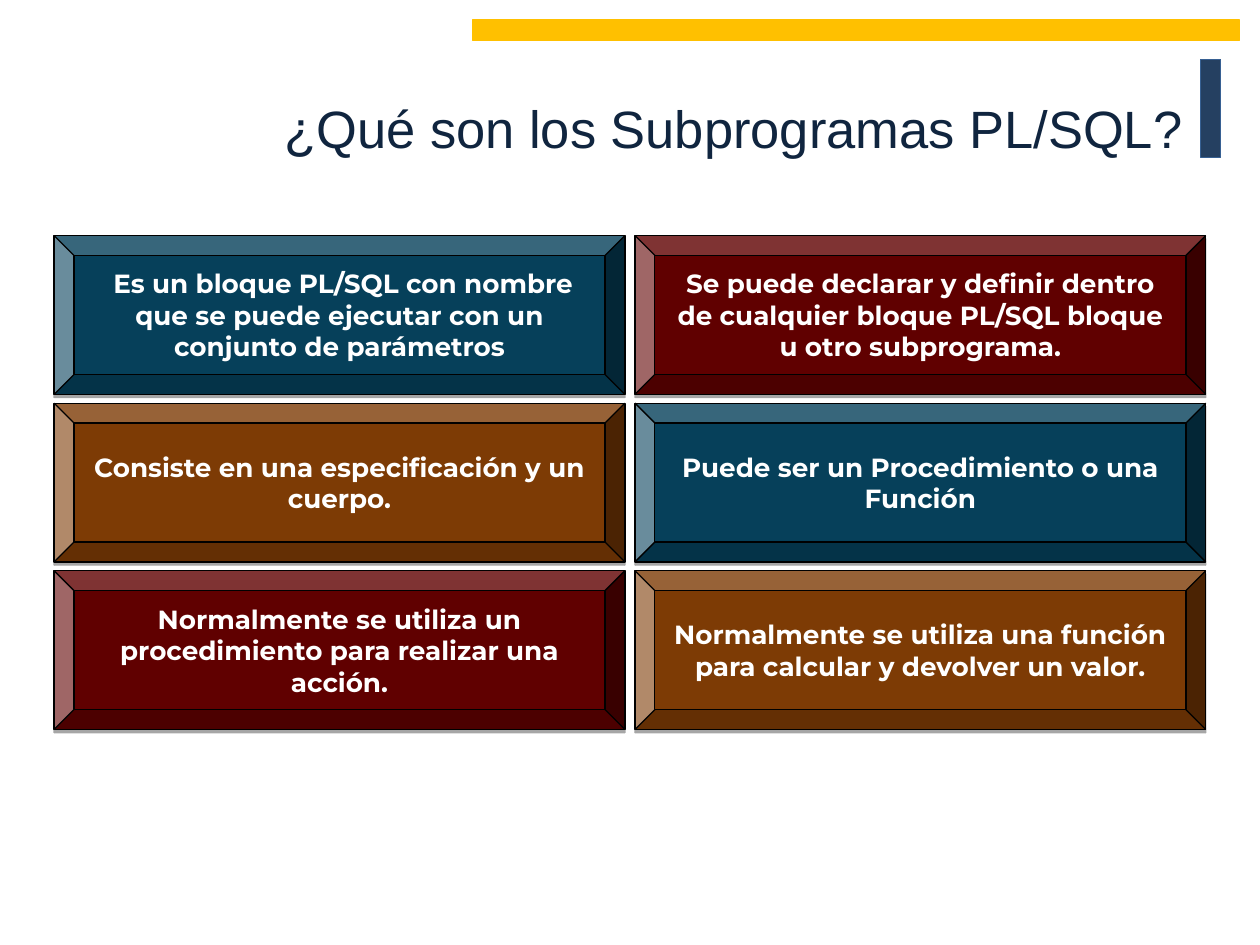
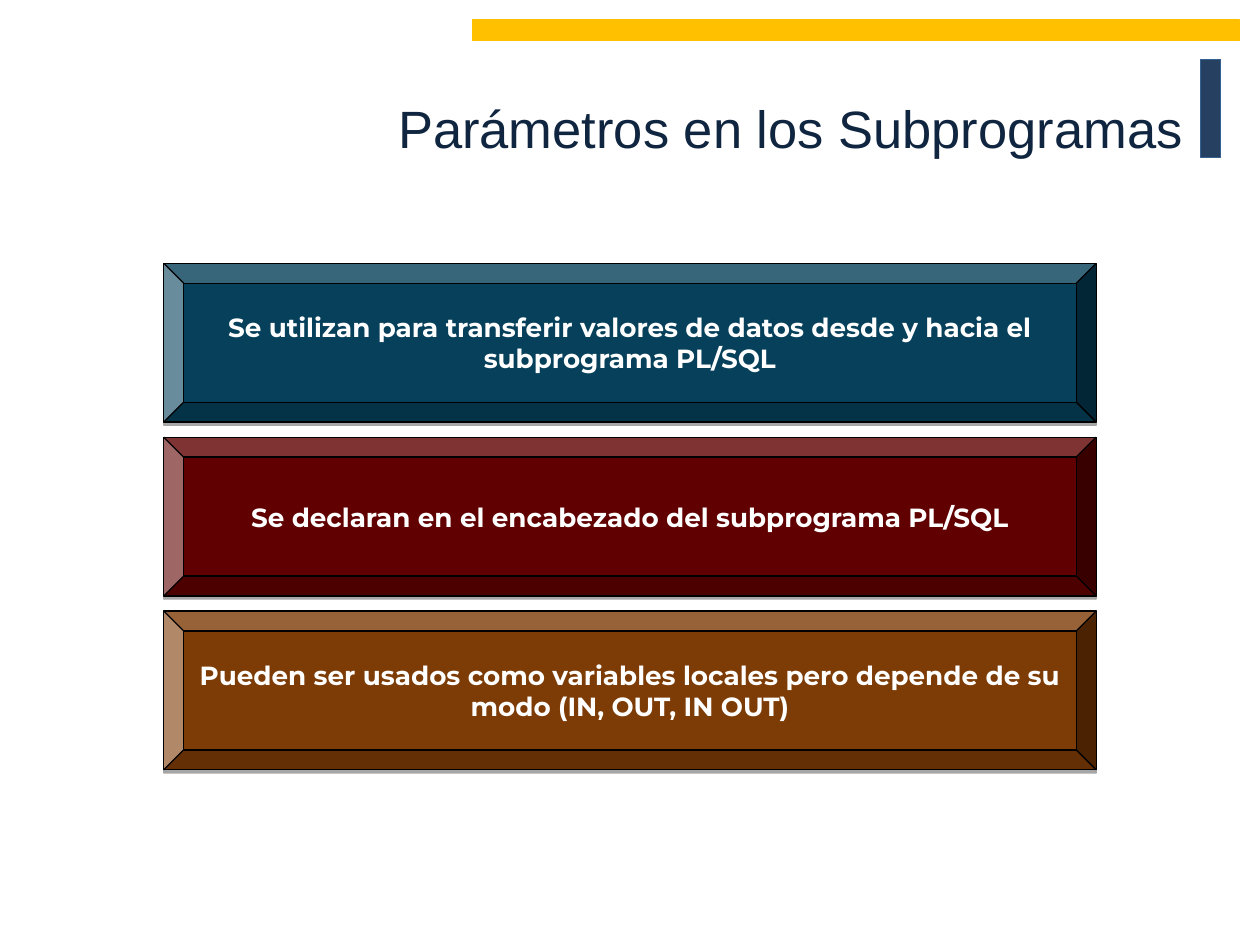
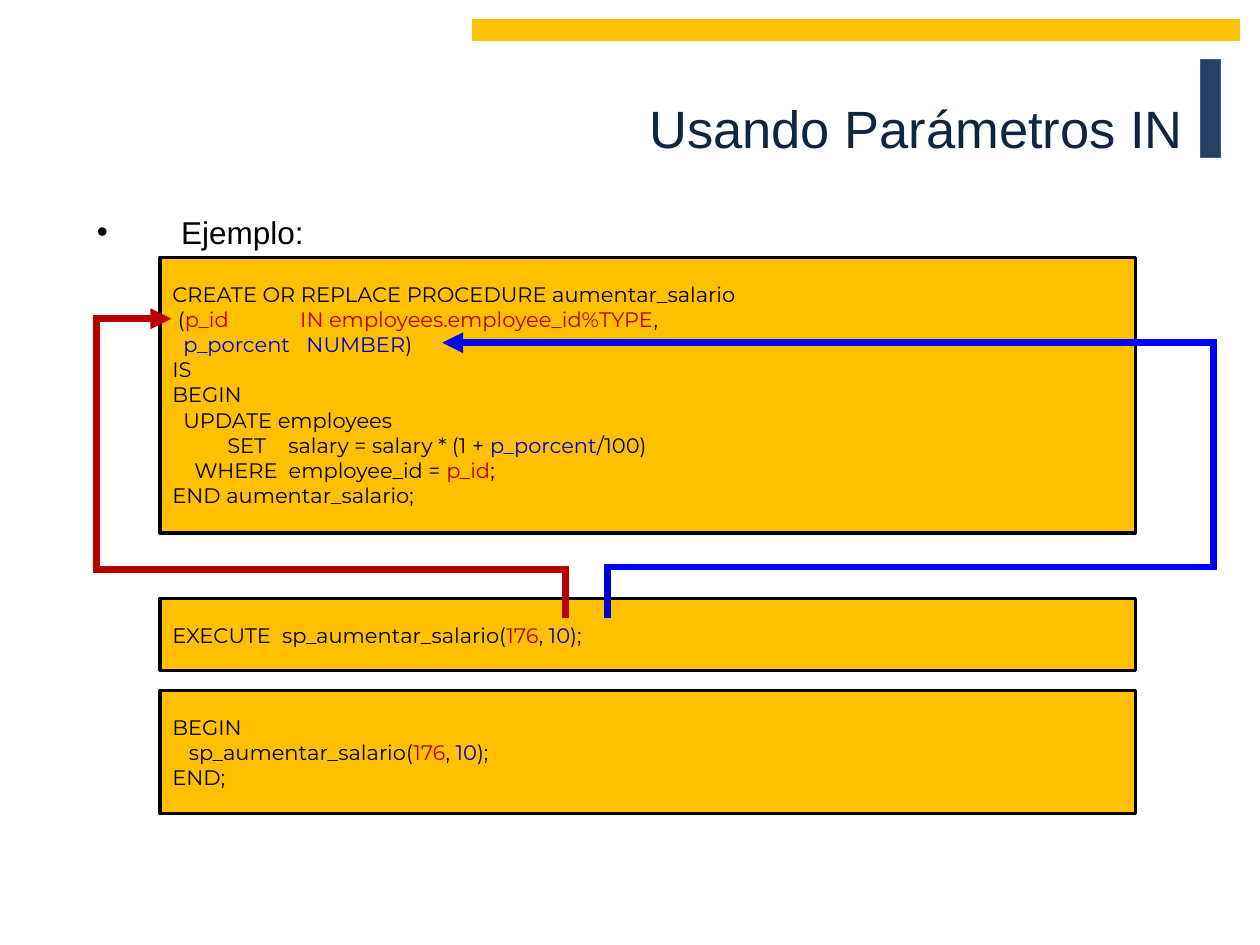
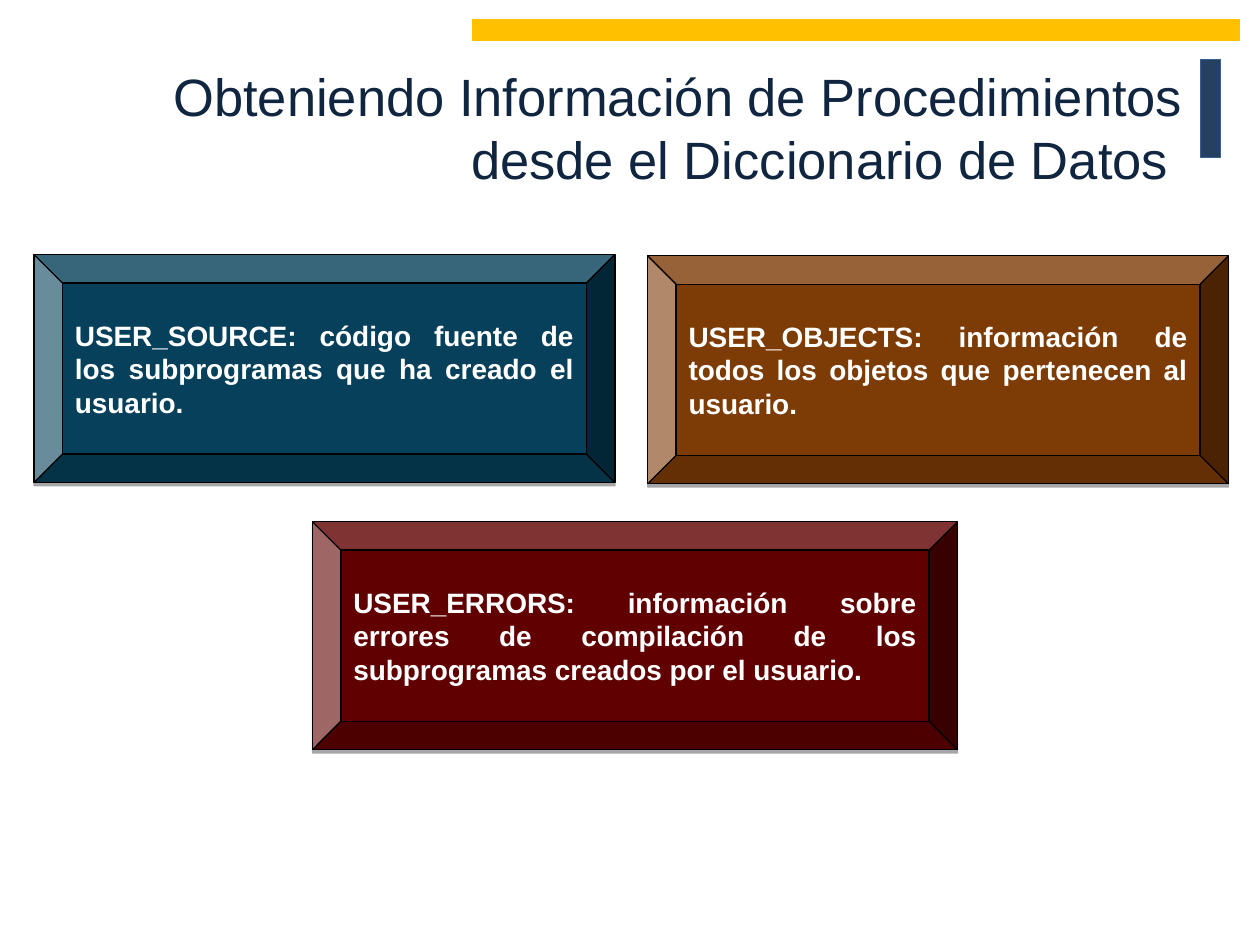
from dataclasses import dataclass
from itertools import pairwise

from lxml import etree
from pptx import Presentation
from pptx.dml.color import RGBColor
from pptx.enum.shapes import MSO_CONNECTOR, MSO_SHAPE
from pptx.enum.text import MSO_ANCHOR, MSO_AUTO_SIZE, PP_ALIGN
from pptx.oxml import parse_xml
from pptx.oxml.ns import nsdecls, qn
from pptx.util import Inches, Pt

RECT, BEVEL = MSO_SHAPE.RECTANGLE, MSO_SHAPE.BEVEL
STRAIGHT = MSO_CONNECTOR.STRAIGHT
TOP, MIDDLE = MSO_ANCHOR.TOP, MSO_ANCHOR.MIDDLE
LEFT, CENTER, RIGHT, JUSTIFY = PP_ALIGN.LEFT, PP_ALIGN.CENTER, PP_ALIGN.RIGHT, PP_ALIGN.JUSTIFY
NO_AUTOFIT = MSO_AUTO_SIZE.NONE
TITLE_ONLY = 5


@dataclass(frozen=True)
class Theme:
    """Colours, fonts and type sizes shared by the slides."""
    heading: str = "10253F"
    navy: str = "254061"
    navy_edge: str = "376092"
    gold: str = "FFC000"
    teal: str = "06405A"
    maroon: str = "600000"
    brown: str = "7D3B05"
    red: str = "B80000"
    blue: str = "0000CC"
    bright_blue: str = "0000FF"
    black: str = "000000"
    white: str = "FFFFFF"
    sans: str = "Arial"
    display: str = "Montserrat"
    title_size: int = 30
    bullet_size: int = 18
    source_size: int = 16
    panel_size: int = 15
    code_size: int = 12


T = Theme()

FEATURES = [
    (" Es un bloque PL/SQL con nombre que se puede ejecutar con un conjunto de parámetros", T.teal),
    ("Se puede declarar y definir dentro de cualquier bloque PL/SQL bloque u otro subprograma.", T.maroon),
    ("Consiste en una especificación y un cuerpo.", T.brown),
    ("Puede ser un Procedimiento o una Función", T.teal),
    ("Normalmente se utiliza un procedimiento para realizar una acción.", T.maroon),
    ("Normalmente se utiliza una función para calcular y devolver un valor.", T.brown),
]
PARAMETERS = [
    ("Se utilizan para transferir valores de datos desde y hacia el subprograma PL/SQL", T.teal),
    ("Se declaran en el encabezado del subprograma PL/SQL", T.maroon),
    ("Pueden ser usados como variables locales pero depende de su modo (IN, OUT, IN OUT)", T.brown),
]
VIEWS = [
    ("USER_SOURCE: código fuente de los subprogramas que ha creado el usuario.", T.teal,
     (0.27, 2.02, 4.61, 1.81)),
    ("USER_OBJECTS: información de todos los objetos que pertenecen al usuario.", T.brown,
     (5.14, 2.03, 4.61, 1.81)),
    ("USER_ERRORS: información sobre errores de compilación de los subprogramas creados por el usuario.",
     T.maroon, (2.48, 4.14, 5.12, 1.81)),
]
ARGUMENTS = [("176", T.red), (", ", T.black), ("10", T.blue), (");", T.black)]
PROCEDURE = [
    [("CREATE OR REPLACE PROCEDURE aumentar_salario", T.black)],
    [(" (", T.black), ("p_id             IN employees.employee_id%TYPE", T.red), (",", T.black)],
    [("  ", T.black), ("p_porcent   NUMBER", T.blue), (")", T.black)],
    [("IS", T.black)],
    [("BEGIN", T.black)],
    [("  UPDATE employees", T.black)],
    [("          SET    salary = salary * (1 + ", T.black), ("p_porcent", T.blue), ("/100)", T.black)],
    [("    WHERE  employee_id = ", T.black), ("p_id", T.red), (";", T.black)],
    [("END aumentar_salario;", T.black)],
]
EXECUTE = [[("EXECUTE  sp_aumentar_salario(", T.black), *ARGUMENTS]]
BLOCK = [
    [("BEGIN", T.black)],
    [("   sp_aumentar_salario(", T.black), *ARGUMENTS],
    [("END;", T.black)],
]


def rgb(color):
    """Turn a hex string into a colour."""
    return RGBColor.from_string(color)


def inches(box):
    """Turn a tuple of numbers into lengths."""
    return [Inches(v) for v in box]


def style(r, font, size, color, bold=False):
    """Format one run."""
    r.font.name, r.font.size, r.font.bold = font, Pt(size), bold
    r.font.color.rgb = rgb(color)


def add_box(s, kind, box, fill, line, width=0.75):
    """Add a filled and outlined preset shape without a shadow."""
    sp = s.shapes.add_shape(kind, *inches(box))
    sp.shadow.inherit = False
    sp.fill.solid()
    sp.fill.fore_color.rgb = rgb(fill)
    sp.line.color.rgb = rgb(line)
    sp.line.width = Pt(width)
    return sp


def move_bands_to_layout(s):
    """Draw the two decorative bands and hand them to the slide's layout."""
    bands = [
        add_box(s, RECT, (9.53, 0.47, 0.16, 0.78), T.navy, T.navy_edge),
        add_box(s, RECT, (3.75, 0.16, 6.09, 0.16), T.gold, T.gold),
    ]
    for shape_id, band in enumerate(bands, 20):
        band.element.nvSpPr.cNvPr.set("id", str(shape_id))
        s.slide_layout.element.cSld.spTree.append(band.element)


def add_titled_slide(prs, title):
    """Add a slide with the right-aligned title."""
    s = prs.slides.add_slide(prs.slide_layouts[TITLE_ONLY])
    sp = s.shapes.title
    sp.left, sp.top, sp.width, sp.height = inches((0.97, 0.21, 8.52, 1.6))
    tf = sp.text_frame
    tf.text = title
    tf.auto_size, tf.vertical_anchor = NO_AUTOFIT, MIDDLE
    p = tf.paragraphs[0]
    p.alignment = RIGHT
    style(p.runs[0], T.sans, T.title_size, T.heading)
    return s


def add_panel(s, box, text, fill, font=T.display, size=T.panel_size, align=CENTER):
    """Add a bevelled panel with bold white text and a thin drop shadow."""
    sp = add_box(s, BEVEL, box, fill, T.black)
    sp.adjustments[0] = 0.125
    effects = sp.element.spPr.find(qn("a:effectLst"))
    effects.append(parse_xml(
        f'<a:outerShdw {nsdecls("a")} blurRad="0" dist="23000" dir="5400000" rotWithShape="0">'
        f'<a:srgbClr val="{T.black}"><a:alpha val="35000"/></a:srgbClr></a:outerShdw>'))
    tf = sp.text_frame
    tf.text = text
    tf.word_wrap, tf.vertical_anchor = True, MIDDLE
    p = tf.paragraphs[0]
    p.alignment = align
    style(p.runs[0], font, size, T.white, bold=True)


def add_panel_grid(s, box, items, columns, pitch):
    """Fill a grid with panels, where box is the first cell."""
    left, top, width, height = box
    for i, (text, fill) in enumerate(items):
        row, column = divmod(i, columns)
        cell = (left + column * pitch[0], top + row * pitch[1], width, height)
        add_panel(s, cell, text, fill)


def add_bullet(s, box, text):
    """Add a one-line bulleted text."""
    tf = s.shapes.add_textbox(*inches(box)).text_frame
    tf.word_wrap = True
    tf.text = text
    p = tf.paragraphs[0]
    p.alignment, p.line_spacing = JUSTIFY, 0.8
    pPr = p._p.get_or_add_pPr()
    pPr.set("marL", str(Inches(0.67)))
    pPr.set("indent", str(-Inches(0.67)))
    etree.SubElement(pPr, qn("a:buFont"), typeface=T.sans)
    etree.SubElement(pPr, qn("a:buChar"), char="•")
    style(p.runs[0], T.sans, T.bullet_size, T.black)


def add_code(s, box, lines):
    """Add a gold box with coloured lines of code."""
    tf = add_box(s, RECT, box, T.gold, T.black, 1.75).text_frame
    tf.word_wrap, tf.vertical_anchor = True, TOP
    tf.margin_top = Inches(0.19)
    for i, line in enumerate(lines):
        p = tf.add_paragraph() if i else tf.paragraphs[0]
        p.alignment = LEFT
        for text, color in line:
            r = p.add_run()
            r.text = text
            style(r, T.display, T.code_size, color)


def add_route(s, points, color, start_color):
    """Join points with straight connectors, ending in an arrowhead."""
    segments = list(pairwise(points))
    for i, (start, end) in enumerate(segments):
        cn = s.shapes.add_connector(STRAIGHT, *inches(start + end))
        cn.line.color.rgb = rgb(color if i else start_color)
        cn.line.width = Pt(4)
        ln = cn.line._get_or_add_ln()
        ln.set("cap", "sq")
        if i == len(segments) - 1:
            etree.SubElement(ln, qn("a:tailEnd"), type="triangle")
        etree.SubElement(cn.element.spPr, qn("a:effectLst"))


def build_features(prs):
    """Build the slide on what subprograms are."""
    s = add_titled_slide(prs, "¿Qué son los Subprogramas PL/SQL?")
    move_bands_to_layout(s)
    add_panel_grid(s, (0.43, 1.87, 4.53, 1.26), FEATURES, 2, (4.61, 1.33))


def build_parameters(prs):
    """Build the slide on subprogram parameters."""
    s = add_titled_slide(prs, "Parámetros en los Subprogramas")
    add_panel_grid(s, (1.3, 2.09, 7.4, 1.26), PARAMETERS, 1, (0, 1.38))


def build_in_example(prs):
    """Build the code example of IN parameters."""
    s = add_titled_slide(prs, "Usando Parámetros IN")
    add_bullet(s, (0.67, 1.7, 8.74, 0.45), "Ejemplo:")
    for top, height, lines in [(2.04, 2.19, PROCEDURE), (4.75, 0.57, EXECUTE), (5.48, 0.98, BLOCK)]:
        add_code(s, (1.27, top, 7.74, height), lines)
    add_route(s, [(4.49, 4.88), (4.49, 4.52), (0.77, 4.52), (0.77, 2.53), (1.36, 2.53)], T.red, T.red)
    add_route(s, [(4.82, 4.88), (4.82, 4.5), (9.63, 4.5), (9.63, 2.72), (3.51, 2.72)],
              T.bright_blue, T.blue)


def build_dictionary(prs):
    """Build the slide on the data dictionary views."""
    s = add_titled_slide(prs, "Obteniendo Información de Procedimientos desde el Diccionario de Datos ")
    for text, fill, box in VIEWS:
        add_panel(s, box, text, fill, T.sans, T.source_size, JUSTIFY)


def main():
    """Build and save the presentation."""
    prs = Presentation()
    prs.slide_width, prs.slide_height = Inches(10), Inches(7.5)
    for build in (build_features, build_parameters, build_in_example, build_dictionary):
        build(prs)
    prs.save("out.pptx")


if __name__ == "__main__":
    main()
